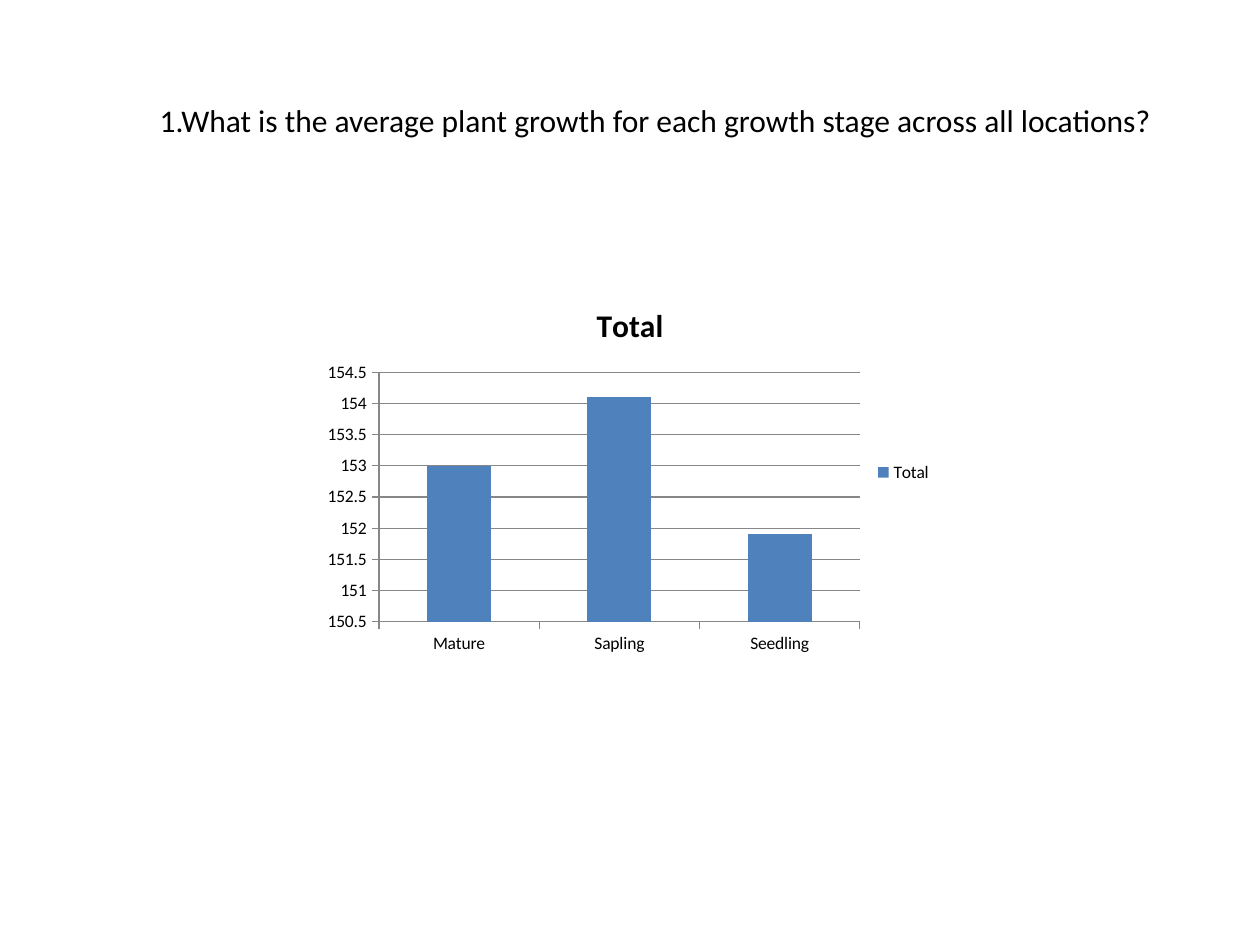
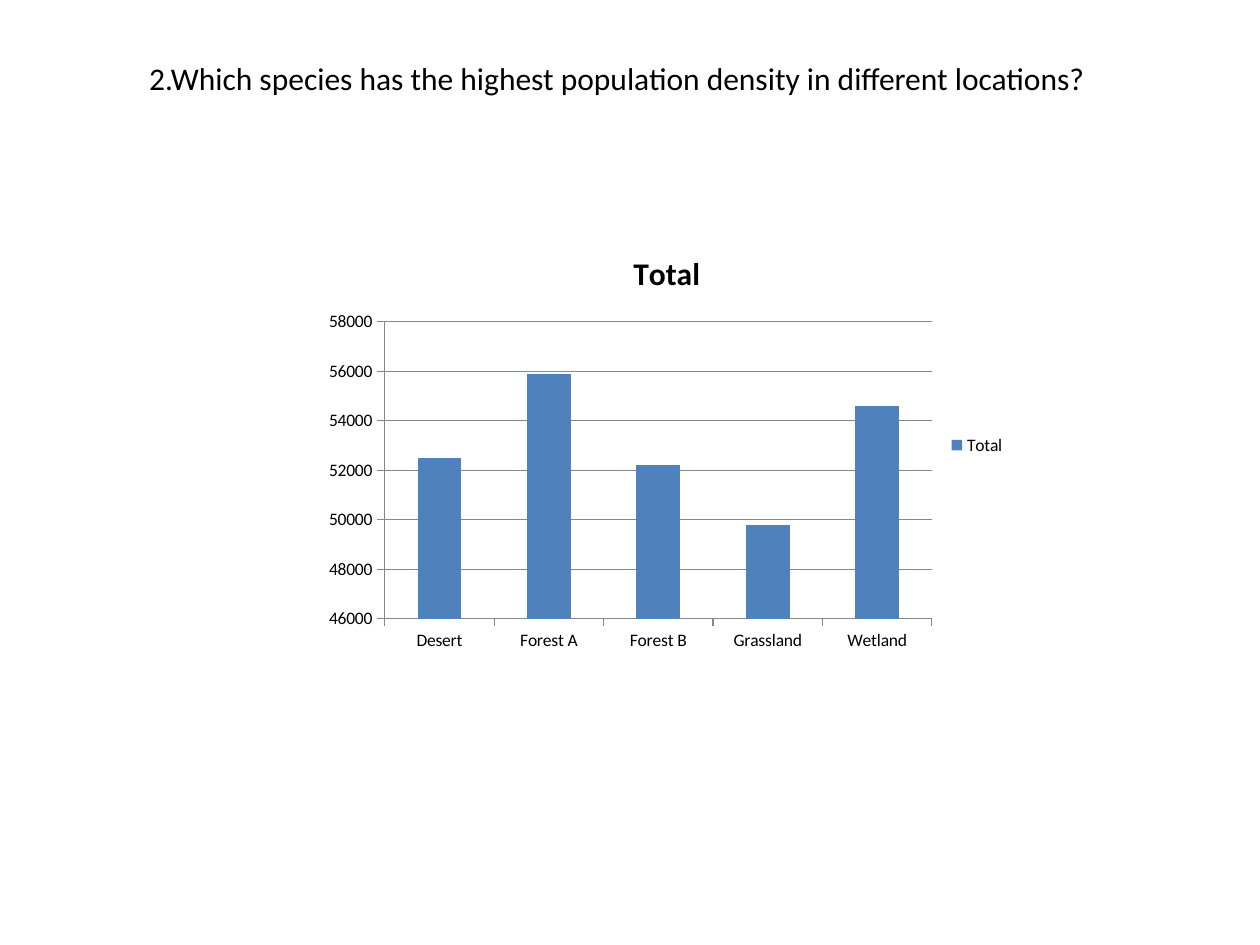
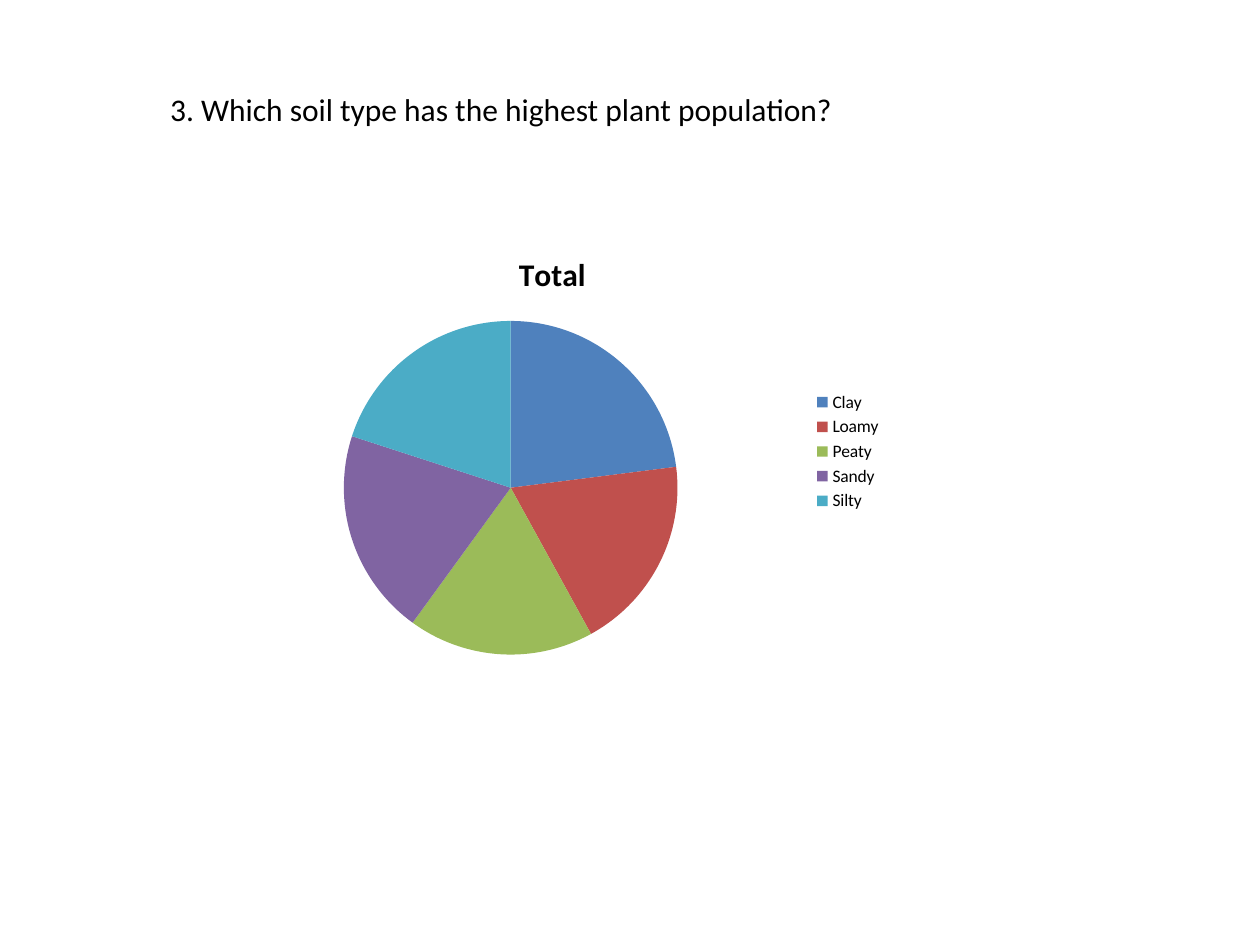
from pptx import Presentation
from pptx.chart.data import CategoryChartData
from pptx.dml.color import RGBColor
from pptx.enum.chart import (XL_CHART_TYPE as ChartType,
                             XL_LEGEND_POSITION as LegendPosition,
                             XL_TICK_MARK as TickMark)
from pptx.enum.text import (MSO_ANCHOR as Anchor, MSO_AUTO_SIZE as AutoSize,
                            PP_ALIGN as Align)
from pptx.util import Inches, Pt

COLUMNS, ROWS = 120, 90
TITLE_ONLY = 5
FONT = "Calibri"
COLORS = {
    "text": "000000",
    "axis": "878787",
    "blue": "4F81BD",
    "red": "C0504D",
    "green": "9BBB59",
    "purple": "8064A2",
    "teal": "4BACC6",
}
SLICE_COLORS = ("blue", "red", "green", "purple", "teal")


def color(name):
    return RGBColor.from_string(COLORS[name])


def apply(target, **values):
    for attribute, value in values.items():
        setattr(target, attribute, value)


class Deck:
    """Shared style and the current slide; boxes are (column, row, columns, rows)."""

    def __init__(self):
        self.presentation = Presentation()
        apply(self.presentation, slide_width=Inches(10), slide_height=Inches(7.5))
        self.column = self.presentation.slide_width / COLUMNS
        self.row = self.presentation.slide_height / ROWS

    def place(self, box):
        units = (self.column, self.row) * 2
        return [round(share * unit) for share, unit in zip(box, units)]

    def style_font(self, font, size, bold=False):
        apply(font, name=FONT, size=Pt(size), bold=bold)
        font.color.rgb = color("text")

    def add_question(self, question, box, wrap=False, align=Align.LEFT):
        """Start a slide with the question as its title."""
        layout = self.presentation.slide_layouts[TITLE_ONLY]
        self.slide = self.presentation.slides.add_slide(layout)
        title = self.slide.shapes.title
        apply(title, **dict(zip(("left", "top", "width", "height"), self.place(box))))
        frame = title.text_frame
        frame.text = question
        apply(frame, word_wrap=wrap, auto_size=AutoSize.SHAPE_TO_FIT_TEXT,
              vertical_anchor=Anchor.TOP)
        paragraph = frame.paragraphs[0]
        paragraph.alignment = align
        self.style_font(paragraph.runs[0].font, 18)

    def add_totals(self, kind, totals, box):
        """Add a chart of one series, with its title and legend."""
        data = CategoryChartData()
        data.categories = list(totals)
        data.add_series("Total", list(totals.values()))
        chart = self.slide.shapes.add_chart(kind, *self.place(box), data).chart
        self.style_font(chart.font, 10)
        heading = chart.chart_title.text_frame
        heading.text = "Total"
        self.style_font(heading.paragraphs[0].runs[0].font, 18, bold=True)
        chart.has_legend = True
        apply(chart.legend, position=LegendPosition.RIGHT, include_in_layout=False)
        return chart

    def add_columns(self, totals, box, scale):
        """Add a column chart; scale is (minimum, maximum, step)."""
        chart = self.add_totals(ChartType.COLUMN_CLUSTERED, totals, box)
        plot = chart.plots[0]
        apply(plot, gap_width=150, vary_by_categories=False)
        self.fill(plot.series[0], "blue")
        values, categories = chart.value_axis, chart.category_axis
        low, high, step = scale
        apply(values, minimum_scale=low, maximum_scale=high, major_unit=step,
              has_major_gridlines=True)
        for axis in (values, categories):
            apply(axis, major_tick_mark=TickMark.OUTSIDE, minor_tick_mark=TickMark.NONE)
        for ruled in (values, categories, values.major_gridlines):
            line = ruled.format.line
            line.color.rgb = color("axis")
            line.width = Pt(0.75)

    def add_pie(self, totals, box):
        plot = self.add_totals(ChartType.PIE, totals, box).plots[0]
        plot.vary_by_categories = True
        for index, name in enumerate(SLICE_COLORS):
            self.fill(plot.series[0].points[index], name)

    def fill(self, part, name):
        part.format.fill.solid()
        part.format.fill.fore_color.rgb = color(name)


def main():
    deck = Deck()

    deck.add_question(
        "1.What is the average plant growth for each growth stage across all locations?",
        (14, 9, 98, 4.8))
    growth = {"Mature": 153, "Sapling": 154.1, "Seedling": 151.9}
    deck.add_columns(growth, (30, 27, 60, 36), (150.5, 154.5, 0.5))

    deck.add_question(
        "2.Which species has the highest population density in different locations?",
        (13, 5, 97, 4.8), wrap=True, align=Align.JUSTIFY)
    density = {"Desert": 52500, "Forest A": 55900, "Forest B": 52200,
               "Grassland": 49800, "Wetland": 54600}
    deck.add_columns(density, (30, 22, 67, 40.8), (46000, 58000, 2000))

    deck.add_question("3. Which soil type has the highest plant population?",
                      (15, 8, 66.2, 4.8))
    soil_shares = {"Clay": 23, "Loamy": 19, "Peaty": 18, "Sandy": 20, "Silty": 20}
    deck.add_pie(soil_shares, (20, 22, 65.2, 42))

    deck.presentation.save("out.pptx")


if __name__ == "__main__":
    main()
